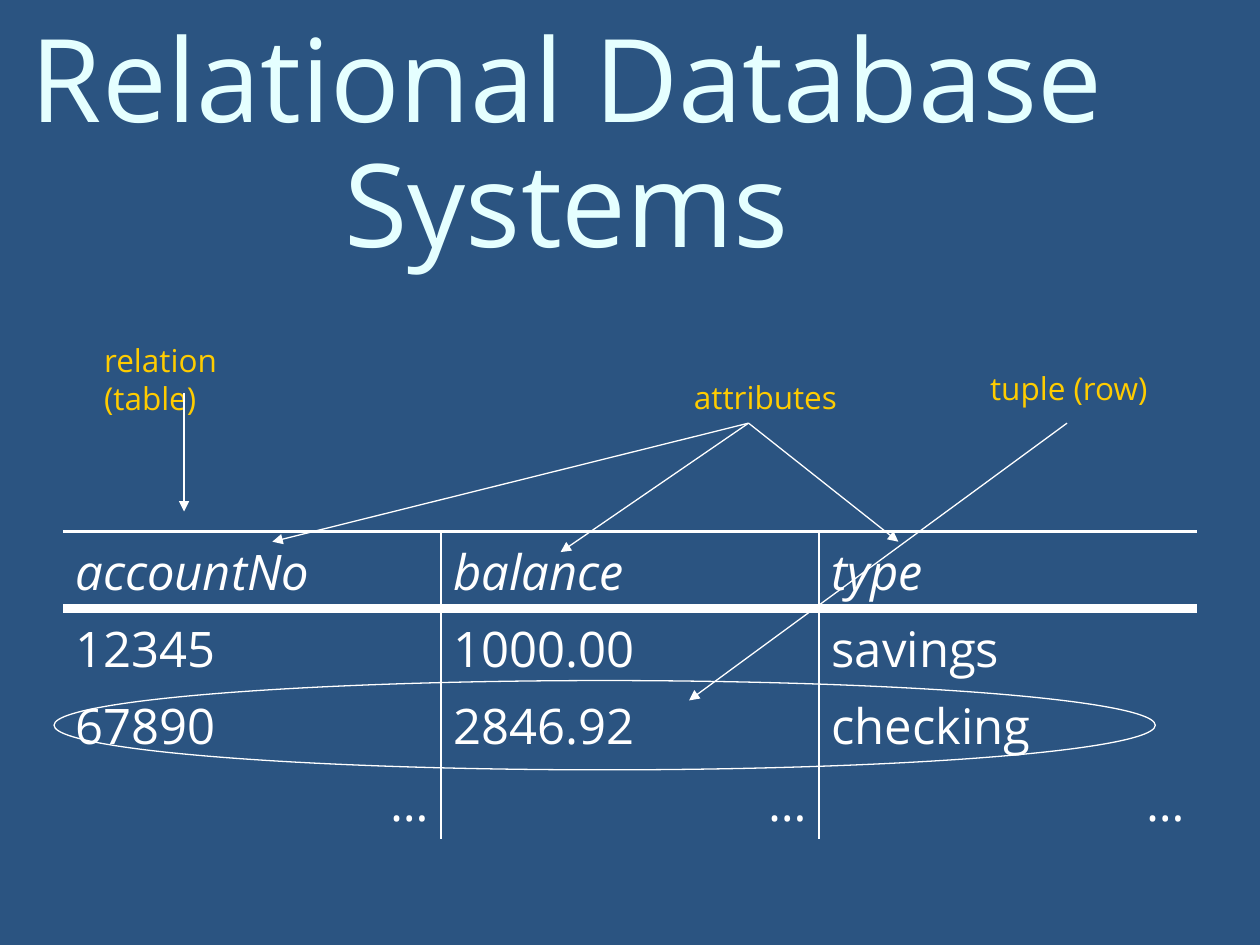
from dataclasses import dataclass
from lxml import etree
from pptx import Presentation
from pptx.dml.color import RGBColor
from pptx.enum.shapes import MSO_CONNECTOR as Connector, MSO_SHAPE as Shape
from pptx.enum.text import MSO_ANCHOR as Anchor, PP_ALIGN as Align
from pptx.oxml.ns import qn
from pptx.util import Cm, Pt


@dataclass(frozen=True)
class Theme:
    font: str = "Open Sans"
    background: str = "2B5481"
    title: str = "E5FFFF"
    label: str = "FFCC00"
    ink: str = "FFFFFF"
    title_size: float = 66
    table_size: float = 28
    label_size: float = 18
    thin: float = 0.75
    column_rule: float = 1
    top_rule: float = 2.25
    header_rule: float = 6


class SlideBuilder:
    """Draws styled elements on the current slide."""

    def __init__(self, slide, theme):
        self.slide = slide
        self.theme = theme
        fill = slide.background.fill
        fill.solid()
        fill.fore_color.rgb = RGBColor.from_string(theme.background)

    def style(self, paragraph, size, color, align=Align.LEFT, italic=False):
        paragraph.alignment = align
        font = paragraph.font
        font.name = self.theme.font
        font.size = Pt(size)
        font.italic = italic
        font.color.rgb = RGBColor.from_string(color)

    def text(self, words, box, size, color, align=Align.LEFT, anchor=Anchor.TOP):
        frame = self.slide.shapes.add_textbox(*map(Cm, box)).text_frame
        frame.word_wrap = True
        frame.vertical_anchor = anchor
        paragraph = frame.paragraphs[0]
        paragraph.text = words
        self.style(paragraph, size, color, align)
        return paragraph

    def title(self, words, box):
        paragraph = self.text(words, box, self.theme.title_size, self.theme.title,
                              Align.CENTER, Anchor.MIDDLE)
        paragraph.line_spacing = 0.9

    def label(self, words, left, top, width):
        self.text(words, (left, top, width, 1.02), self.theme.label_size, self.theme.label)

    def outline(self, line):
        line.color.rgb = RGBColor.from_string(self.theme.ink)
        line.width = Pt(self.theme.thin)

    def arrow(self, start, end):
        connector = self.slide.shapes.add_connector(
            Connector.STRAIGHT, *map(Cm, (*start, *end)))
        self.outline(connector.line)
        properties = connector._element.spPr
        etree.SubElement(properties.find(qn("a:ln")), qn("a:tailEnd"), type="triangle")
        etree.SubElement(properties, qn("a:effectLst"))

    def ellipse(self, box):
        shape = self.slide.shapes.add_shape(Shape.OVAL, *map(Cm, box))
        shape.shadow.inherit = False
        shape.fill.background()
        self.outline(shape.line)

    def borders(self, cell, widths):
        properties = cell._tc.get_or_add_tcPr()
        for side, width in zip("LRTB", widths):
            line = etree.SubElement(properties, qn(f"a:ln{side}"), w=str(Pt(width)))
            if width:
                fill = etree.SubElement(line, qn("a:solidFill"))
                etree.SubElement(fill, qn("a:srgbClr"), val=self.theme.ink)
            else:
                etree.SubElement(line, qn("a:noFill"))

    def table(self, rows, box):
        theme = self.theme
        last_row, last_column = len(rows) - 1, len(rows[0]) - 1
        table = self.slide.shapes.add_table(len(rows), len(rows[0]), *map(Cm, box)).table
        table.first_row = table.horz_banding = False
        for y, row in enumerate(rows):
            for x, words in enumerate(row):
                cell = table.cell(y, x)
                self.borders(cell, (
                    theme.column_rule if x > 0 else 0,
                    theme.column_rule if x < last_column else 0,
                    {0: theme.top_rule, 1: theme.header_rule}.get(y, 0),
                    theme.header_rule if y == 0 else 0))
                cell.fill.background()
                paragraph = cell.text_frame.paragraphs[0]
                paragraph.text = words
                align = Align.RIGHT if y == last_row else Align.LEFT
                self.style(paragraph, theme.table_size, theme.ink, align, italic=y == 0)


presentation = Presentation()
presentation.slide_width, presentation.slide_height = Cm(25.4), Cm(19.05)
slide = presentation.slides.add_slide(presentation.slide_layouts[6])
builder = SlideBuilder(slide, Theme())

builder.title("Relational Database Systems", (0, 1.07, 22.86, 3.81))
builder.table([
    ("accountNo", "balance", "type"),
    ("12345", "1000.00", "savings"),
    ("67890", "2846.92", "checking"),
    ("…", "…", "…"),
], (1.27, 10.72, 22.86, 6.2))

builder.label("attributes", 13.74, 7.49, 3.76)
for column_head in ((5.49, 10.92), (11.3, 11.13), (18.11, 10.92)):
    builder.arrow((15.09, 8.53), column_head)

builder.label("relation (table)", 1.85, 6.76, 4.67)
builder.arrow((3.71, 7.92), (3.71, 10.31))

builder.ellipse((1.09, 13.72, 22.2, 1.8))
builder.label("tuple (row)", 19.71, 7.32, 4.39)
builder.arrow((21.51, 8.53), (13.89, 14.12))

presentation.save("out.pptx")
